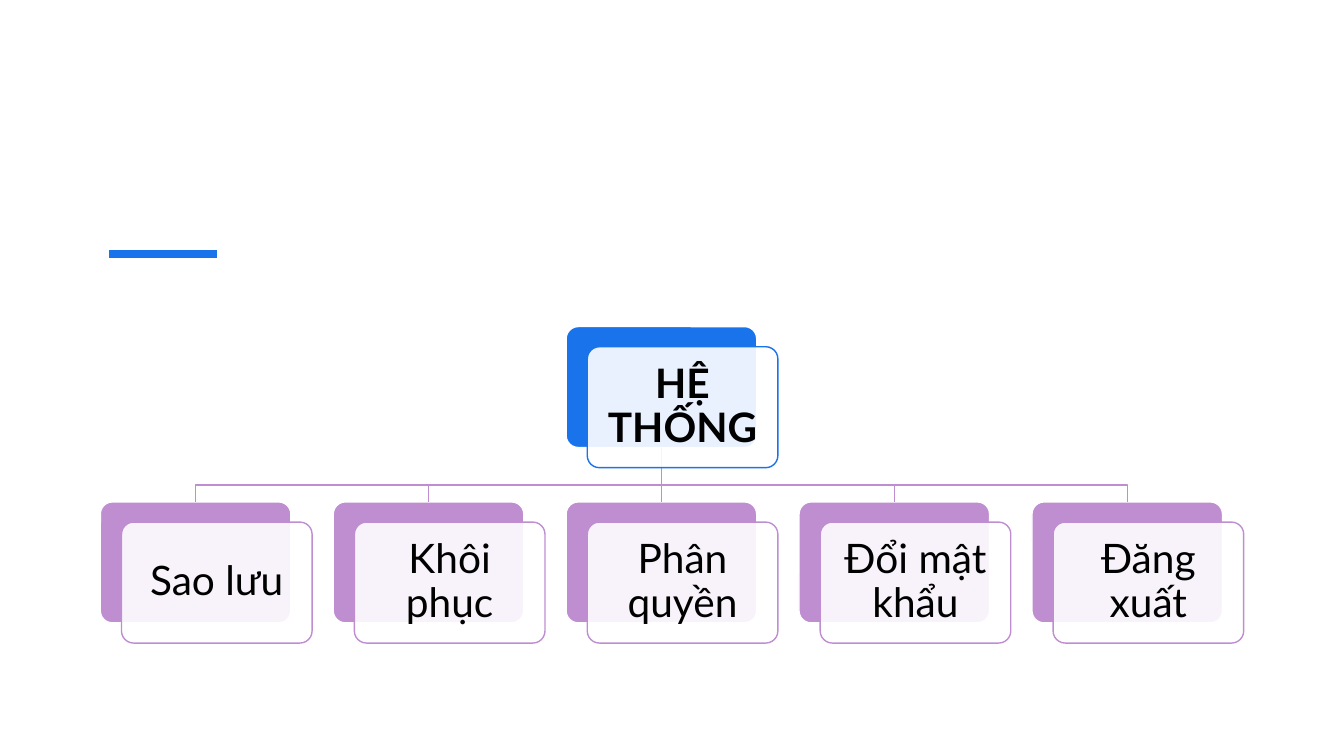
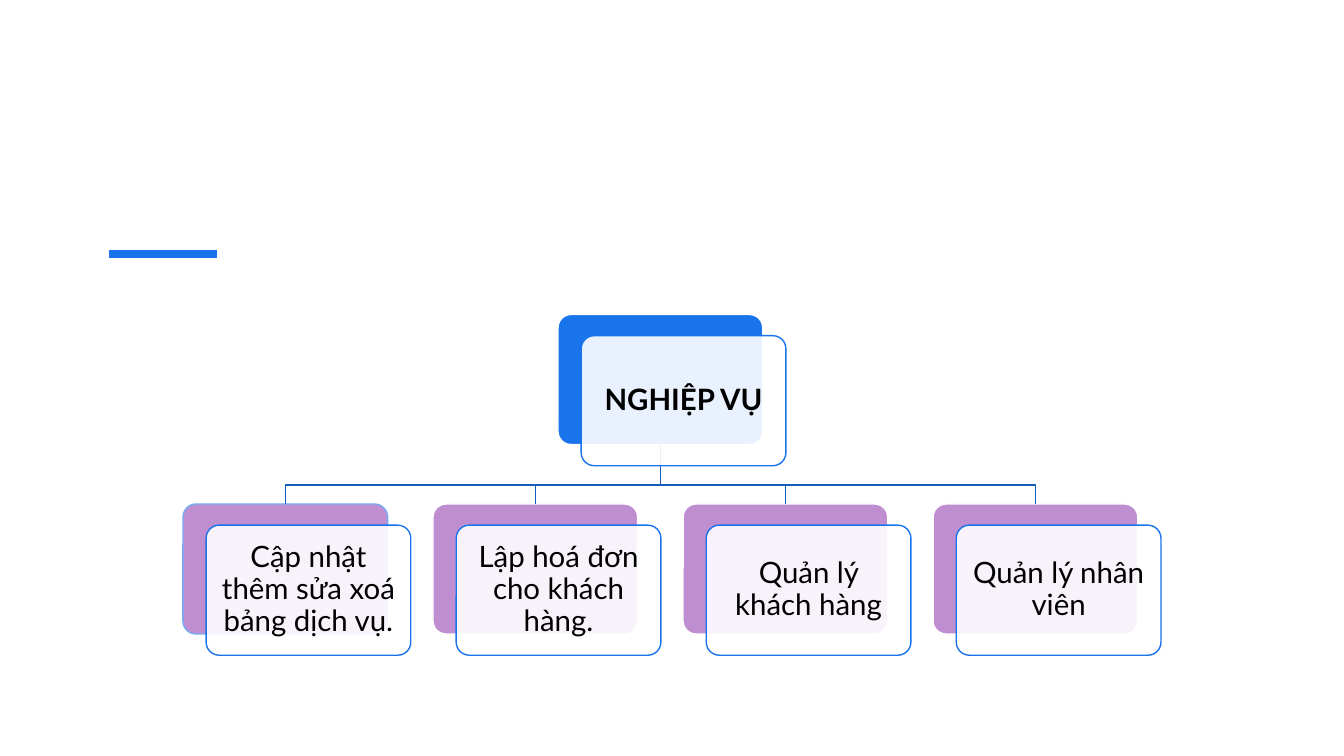
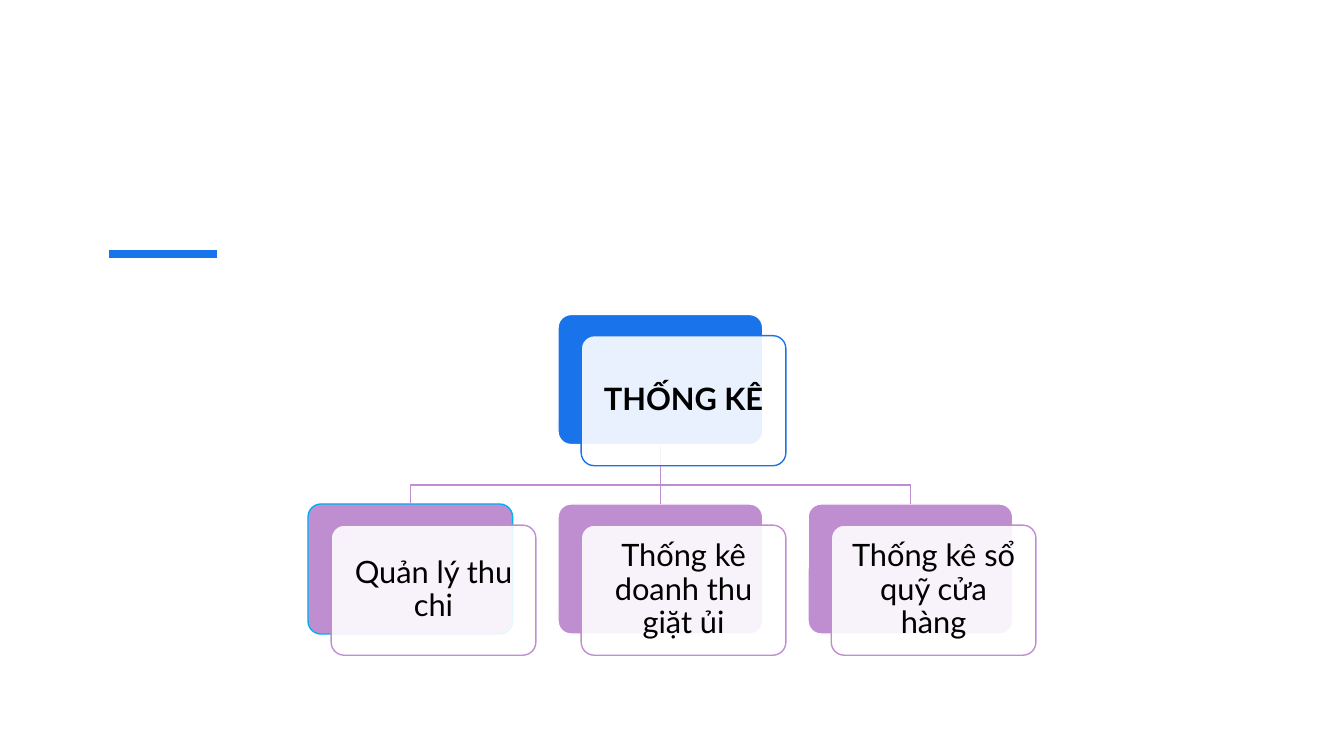
from dataclasses import dataclass

from lxml import etree
from pptx import Presentation
from pptx.dml.color import RGBColor
from pptx.enum.shapes import MSO_CONNECTOR, MSO_SHAPE
from pptx.enum.text import MSO_ANCHOR, PP_ALIGN
from pptx.oxml.ns import qn
from pptx.util import Inches, Pt

ROUNDED = MSO_SHAPE.ROUNDED_RECTANGLE
STRAIGHT = MSO_CONNECTOR.STRAIGHT
MIDDLE = MSO_ANCHOR.MIDDLE
CENTER = PP_ALIGN.CENTER
TOP_SIDE, BOTTOM_SIDE = 0, 2

FONT = "Lato"
COLORS = {
    "blue": "1973EB",
    "navy": "145CBC",
    "sky": "75ABF3",
    "cyan": "00B0F0",
    "lilac": "BF8ED1",
    "white": "FFFFFF",
    "black": "000000",
}
BUS_Y = 4.81  # height of the horizontal part of every branch


@dataclass(frozen=True)
class Layout:
    """Sizes of a tree, in inches."""
    center: float
    root_top: float
    child_top: float
    width: float
    height: float
    pitch: float
    shift_x: float
    shift_y: float
    inset: float


@dataclass(frozen=True)
class Tree:
    root: str
    children: tuple[str, ...]
    layout: Layout
    size: int
    branch: str
    child_edge: str
    first_outline: str = "white"


@dataclass(frozen=True)
class Card:
    label: str
    center: float
    top: float
    fill: str
    outline: str
    edge: str
    bold: bool = False


WIDE = Layout(6.56, 3.24, 4.98, 1.89, 1.2, 2.31, 0.21, 0.2, 0.12)
TALL = Layout(6.55, 3.12, 5, 2.03, 1.29, 2.48, 0.23, 0.21, 0.09)

TREES = (
    Tree("HỆ THỐNG",
         ("Sao lưu", "Khôi phục", "Phân quyền", "Đổi mật khẩu", "Đăng xuất"),
         WIDE, 29, "lilac", "lilac"),
    Tree("NGHIỆP VỤ",
         ("Cập nhật thêm sửa xoá bảng dịch vụ.", "Lập hoá đơn cho khách hàng.",
          "Quản lý khách hàng", "Quản lý nhân viên"),
         TALL, 21, "navy", "blue", "sky"),
    Tree("THỐNG KÊ",
         ("Quản lý thu chi", "Thống kê doanh thu giặt ủi",
          "Thống kê sổ quỹ cửa hàng"),
         TALL, 22, "lilac", "lilac", "cyan"),
)


def rgb(name: str) -> RGBColor:
    return RGBColor.from_string(COLORS[name])


def set_line(shape, color: str, width: float = 1) -> None:
    shape.line.color.rgb = rgb(color)
    shape.line.width = Pt(width)


def add_straight(slide, start: tuple[float, float], end: tuple[float, float],
                 color: str, width: float = 1):
    line = slide.shapes.add_connector(
        STRAIGHT, *(Inches(value) for value in (*start, *end)))
    set_line(line, color, width)
    etree.SubElement(line.element.spPr, qn("a:effectLst"))
    return line


def add_plate(slide, left: float, top: float, layout: Layout, fill: str,
              outline: str, opacity: int = 100):
    plate = slide.shapes.add_shape(
        ROUNDED, Inches(left), Inches(top),
        Inches(layout.width), Inches(layout.height))
    plate.adjustments[0] = 0.1
    plate.shadow.inherit = False
    plate.fill.solid()
    plate.fill.fore_color.rgb = rgb(fill)
    if opacity < 100:
        fill_color = plate.element.spPr.find(qn("a:solidFill"))[0]
        etree.SubElement(fill_color, qn("a:alpha"), val=str(opacity * 1000))
    set_line(plate, outline)
    return plate


def write_text(shape, text: str, *, size: int, inset: float,
               bold: bool = False, color: str = "black") -> None:
    frame = shape.text_frame
    frame.word_wrap = True
    frame.vertical_anchor = MIDDLE
    frame.margin_left = frame.margin_right = Inches(inset)
    frame.margin_top = frame.margin_bottom = Inches(inset)
    paragraph = frame.paragraphs[0]
    paragraph.alignment = CENTER
    paragraph.line_spacing = 0.9
    run = paragraph.add_run()
    run.text = text
    run.font.name = FONT
    run.font.size = Pt(size)
    run.font.bold = bold
    run.font.color.rgb = rgb(color)


def add_back(slide, card: Card, layout: Layout):
    return add_plate(slide, card.center - layout.width / 2, card.top, layout,
                     card.fill, card.outline)


def add_front(slide, card: Card, layout: Layout, size: int) -> None:
    front = add_plate(slide, card.center - layout.width / 2 + layout.shift_x,
                      card.top + layout.shift_y, layout, "white", card.edge, 90)
    write_text(front, card.label, size=size, inset=layout.inset, bold=card.bold)


def add_elbow(slide, start: tuple[float, float], end: tuple[float, float],
              color: str) -> None:
    first, *rest = [(Inches(x), Inches(y)) for x, y in
                    (start, (start[0], BUS_Y), (end[0], BUS_Y), end)]
    builder = slide.shapes.build_freeform(*first)
    builder.add_line_segments(rest, close=False)
    elbow = builder.convert_to_shape()
    elbow.shadow.inherit = False
    elbow.fill.background()
    set_line(elbow, color)


def add_tree(slide, tree: Tree) -> None:
    layout = tree.layout
    root = Card(tree.root, layout.center, layout.root_top,
                "blue", "white", "blue", bold=True)
    middle = (len(tree.children) - 1) / 2
    children = [
        Card(label, layout.center + (i - middle) * layout.pitch,
             layout.child_top, "lilac",
             tree.first_outline if i == 0 else "white", tree.child_edge)
        for i, label in enumerate(tree.children)
    ]

    # Coloured plates behind the branches
    root_back = add_back(slide, root, layout)
    child_backs = [add_back(slide, child, layout) for child in children]

    # Branches from the root to each child
    start = (root.center, root.top + layout.height)
    for child, back in zip(children, child_backs):
        end = (child.center, child.top)
        if child.center == root.center:
            trunk = add_straight(slide, start, end, tree.branch)
            trunk.begin_connect(root_back, BOTTOM_SIDE)
            trunk.end_connect(back, TOP_SIDE)
        else:
            add_elbow(slide, start, end, tree.branch)

    # Translucent labelled plates in front
    for card in (root, *children):
        add_front(slide, card, layout, tree.size)


def main() -> None:
    deck = Presentation()
    deck.slide_width = Inches(13.33)
    deck.slide_height = Inches(7.5)
    blank = deck.slide_layouts[6]
    for tree in TREES:
        slide = deck.slides.add_slide(blank)
        add_straight(slide, (1.08, 2.52), (2.15, 2.52), "blue", 6)  # accent bar
        add_tree(slide, tree)
    deck.save("out.pptx")


if __name__ == "__main__":
    main()
